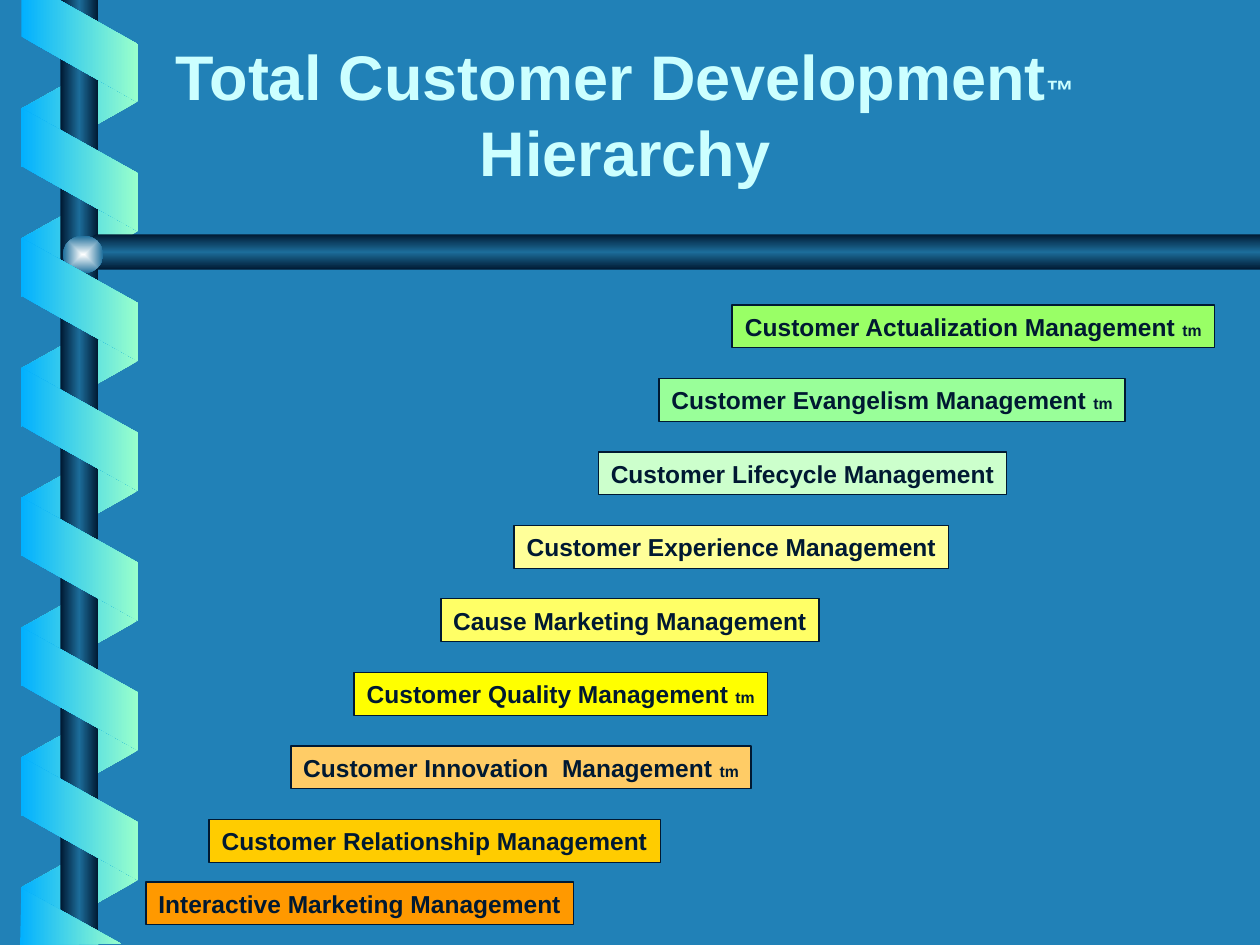
from lxml import etree
from pptx import Presentation
from pptx.dml.color import RGBColor
from pptx.enum.shapes import MSO_SHAPE
from pptx.enum.text import MSO_ANCHOR, MSO_AUTO_SIZE, PP_ALIGN
from pptx.oxml.ns import qn
from pptx.util import Inches, Pt

RECTANGLE = MSO_SHAPE.RECTANGLE
OVAL = MSO_SHAPE.OVAL
PARALLELOGRAM = MSO_SHAPE.PARALLELOGRAM
CENTER = PP_ALIGN.CENTER
BOTTOM = MSO_ANCHOR.BOTTOM
MIDDLE = MSO_ANCHOR.MIDDLE
FIXED_SIZE = MSO_AUTO_SIZE.NONE

COLORS = {
    "background": "2181B7", "title": "CCFFFF", "ink": "001932",
    "steel": "1C6D9A", "glow": "FEFFFF", "blue": "01B0FF", "mint": "99FFCC",
}
ROD = ["ink", "steel", "ink"]
FRONT = ["blue", "mint"]
BACK = ["mint", "blue"]


def paint_gradient(shape, names, angle=0, radial=False):
    shape.shadow.inherit = False
    shape.line.fill.background()
    shape.fill.background()
    properties = shape._element.spPr
    gradient = etree.Element(qn("a:gradFill"), rotWithShape="0")
    stops = etree.SubElement(gradient, qn("a:gsLst"))
    for index, name in enumerate(names):
        position = index * 100000 // (len(names) - 1)
        stop = etree.SubElement(stops, qn("a:gs"), pos=str(position))
        etree.SubElement(stop, qn("a:srgbClr"), val=COLORS[name])
    if radial:
        route = etree.SubElement(gradient, qn("a:path"), path="rect")
        etree.SubElement(route, qn("a:fillToRect"), l="50000", t="50000", r="50000", b="50000")
    else:
        etree.SubElement(gradient, qn("a:lin"), ang=str(angle * 60000), scaled="1")
    properties.replace(properties.find(qn("a:noFill")), gradient)


def add_spans(box, spans, color):
    para = box.text_frame.paragraphs[0]
    para.alignment = CENTER
    for text, size in spans:
        span = para.add_run()
        span.text = text
        span.font.name = "Arial"
        span.font.size = Pt(size)
        span.font.bold = True
        span.font.color.rgb = RGBColor.from_string(color)


deck = Presentation()
deck.slide_width = Inches(10)
deck.slide_height = Inches(7.5)
page = deck.slides.add_slide(deck.slide_layouts[6])
page.background.fill.solid()
page.background.fill.fore_color.rgb = RGBColor.from_string(COLORS["background"])

back_ribbon = page.shapes.add_group_shape()
rod = page.shapes.add_shape(RECTANGLE, Inches(0.48), 0, Inches(0.3), Inches(7.5))
paint_gradient(rod, ROD)

bar_points = [(10, 1.86), (0.76, 1.86), (0.6, 2), (0.76, 2.14), (10, 2.14)]
front_ends = [
    [(0.17, 0), (0.17, 0.29), (1.09, 0.81), (1.09, 0.35), (0.47, 0)],
    [(0.96, 7.49), (0.17, 7.05), (0.16, 7.5)],
]

builder = page.shapes.build_freeform(Inches(10), Inches(1.86))
builder.add_line_segments([(Inches(x), Inches(y)) for x, y in bar_points[1:]])
paint_gradient(builder.convert_to_shape(), ROD, angle=90)

knob = page.shapes.add_shape(OVAL, Inches(0.5), Inches(1.87), Inches(0.32), Inches(0.3))
paint_gradient(knob, ["glow", "steel"], radial=True)

front_ribbon = page.shapes.add_group_shape()
for group, first_top, count, turn, names in [
    (back_ribbon, 0.37, 7, 90, BACK),
    (front_ribbon, 0.88, 6, 270, FRONT),
]:
    for index in range(count):
        top = Inches(first_top + 1.03 * index)
        strip = group.shapes.add_shape(PARALLELOGRAM, Inches(0.14), top, Inches(0.98), Inches(0.93))
        strip.adjustments[0] = 0.56
        strip.rotation = turn
        if group is back_ribbon:
            strip._element.spPr.find(qn("a:xfrm")).set("flipH", "1")
        paint_gradient(strip, names)

for points in front_ends:
    corners = [(Inches(x), Inches(y)) for x, y in points]
    builder = front_ribbon.shapes.build_freeform(*corners[0])
    builder.add_line_segments(corners[1:])
    paint_gradient(builder.convert_to_shape(), FRONT)

title = page.shapes.add_textbox(Inches(1.17), Inches(0.25), Inches(7.58), Inches(1.3))
title.text_frame.word_wrap = True
title.text_frame.vertical_anchor = BOTTOM
title_spans = [("Total Customer Development", 36), ("™", 16), (" Hierarchy", 36)]
add_spans(title, title_spans, COLORS["title"])

STEPS = [
    ("Customer Actualization Management ", "tm", 5.81, 3.83, "99FF66"),
    ("Customer Evangelism Management ", "tm", 5.23, 3.7, "99FF99"),
    ("Customer Lifecycle Management", "", 4.75, 3.24, "CCFFCC"),
    ("Customer Experience Management", "", 4.08, 3.45, "FFFF99"),
    ("Cause Marketing Management", "", 3.5, 3, "FFFF66"),
    ("Customer Quality Management ", "tm", 2.81, 3.28, "FFFF00"),
    ("Customer Innovation  Management ", "tm", 2.31, 3.65, "FFCC66"),
    ("Customer Relationship Management", "", 1.66, 3.58, "FFCC00"),
    ("Interactive Marketing Management", "", 1.16, 3.39, "FF9900"),
]
for index, (label, mark, left, width, color) in reversed(list(enumerate(STEPS))):
    top = min(2.42 + index * 7 / 12, 7)
    step = page.shapes.add_shape(RECTANGLE, Inches(left), Inches(top), Inches(width), Inches(0.34))
    step.shadow.inherit = False
    step.fill.solid()
    step.fill.fore_color.rgb = RGBColor.from_string(color)
    step.line.color.rgb = RGBColor.from_string(COLORS["ink"])
    step.line.width = Pt(0.75)
    frame = step.text_frame
    frame.word_wrap = False
    frame.auto_size = FIXED_SIZE
    frame.vertical_anchor = MIDDLE
    frame.margin_left = frame.margin_right = Inches(0.05)
    spans = [(label, 14), (mark, 9)] if mark else [(label, 14)]
    add_spans(step, spans, COLORS["ink"])

deck.save("out.pptx")
